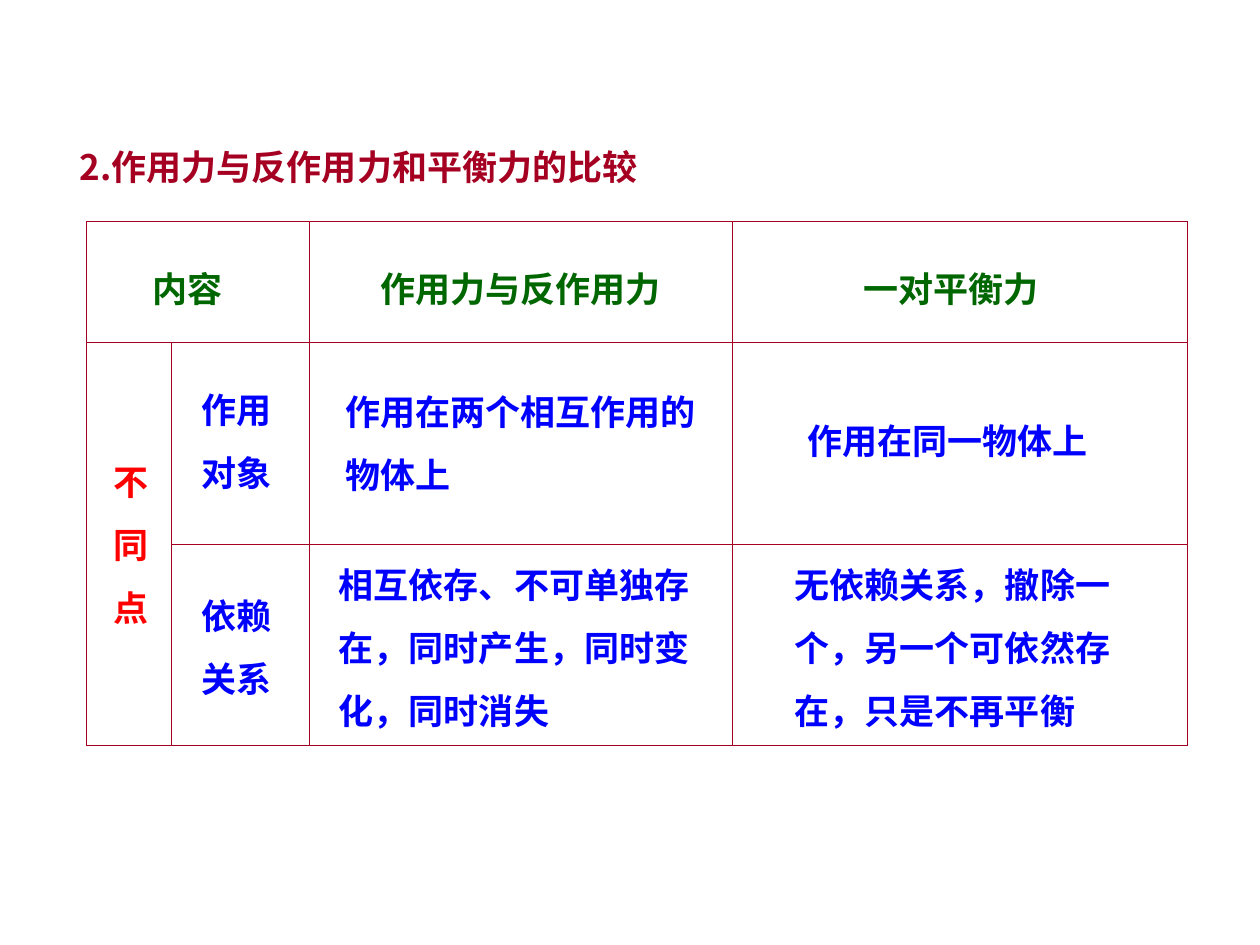
import dataclasses

import lxml.etree
import pptx
import pptx.dml.color
import pptx.enum.text
import pptx.oxml.ns
import pptx.util
from pptx.util import Cm


@dataclasses.dataclass(frozen=True)
class Theme:
    font: str = "Noto Sans CJK SC"
    size: int = 20
    line_spacing: float = 1.5
    title: str = "A50021"
    header: str = "006600"
    group: str = "FF0000"
    body: str = "0000FF"
    border: str = "A50021"
    outer_width: float = 0.75
    inner_width: float = 0.45


class SlideBuilder:
    """Holds the theme and the current slide."""

    def __init__(self, slide, theme):
        self.slide = slide
        self.theme = theme

    def fill_text(self, shape, lines, color):
        """Fill a text shape with one paragraph per line."""
        frame = shape.text_frame
        frame.word_wrap = True
        frame.auto_size = pptx.enum.text.MSO_AUTO_SIZE.SHAPE_TO_FIT_TEXT
        frame.vertical_anchor = pptx.enum.text.MSO_ANCHOR.MIDDLE
        frame.text = "\n".join(lines)
        for paragraph in frame.paragraphs:
            paragraph.alignment = pptx.enum.text.PP_ALIGN.LEFT
            paragraph.line_spacing = self.theme.line_spacing
            paragraph.space_before = pptx.util.Pt(0)
            font = paragraph.font
            font.size = pptx.util.Pt(self.theme.size)
            font.bold = True
            font.color.rgb = pptx.dml.color.RGBColor.from_string(color)
            font.name = self.theme.font
            # East Asian typeface follows the Latin one
            latin = paragraph._p.find(".//" + pptx.oxml.ns.qn("a:latin"))
            east_asian = lxml.etree.Element(pptx.oxml.ns.qn("a:ea"))
            east_asian.set("typeface", self.theme.font)
            latin.addnext(east_asian)

    def title(self, left, top, width, text):
        shape = self.slide.shapes.title
        shape.left, shape.top = Cm(left), Cm(top)
        shape.width, shape.height = Cm(width), self.text_height(1)
        self.fill_text(shape, [text], self.theme.title)

    def text(self, left, top, width, lines, color):
        shape = self.slide.shapes.add_textbox(
            Cm(left), Cm(top), Cm(width), self.text_height(len(lines)))
        self.fill_text(shape, lines, color)

    def text_height(self, line_count):
        return Cm(0.25 + 1.27 * line_count)

    def table(self, left, top, widths, heights, merges):
        """Draw an unfilled grid with a heavier outer frame."""
        row_count, column_count = len(heights), len(widths)
        table = self.slide.shapes.add_table(
            row_count, column_count, Cm(left), Cm(top),
            Cm(sum(widths)), Cm(sum(heights))).table
        table.first_row = table.horz_banding = False
        for column, width in zip(table.columns, widths):
            column.width = Cm(width)
        for row, height in zip(table.rows, heights):
            row.height = Cm(height)
        for first, last in merges:
            table.cell(*first).merge(table.cell(*last))
        for row in range(row_count):
            for column in range(column_count):
                cell = table.cell(row, column)
                cell.fill.background()
                self.borders(cell, {
                    "lnL": column == 0,
                    "lnR": column + cell.span_width == column_count,
                    "lnT": row == 0,
                    "lnB": row + cell.span_height == row_count,
                })

    def borders(self, cell, outer_by_side):
        properties = cell._tc.get_or_add_tcPr()
        for index, (side, outer) in enumerate(outer_by_side.items()):
            width = self.theme.outer_width if outer else self.theme.inner_width
            line = lxml.etree.Element(pptx.oxml.ns.qn("a:" + side))
            line.set("w", str(int(pptx.util.Pt(width))))
            fill = lxml.etree.SubElement(line, pptx.oxml.ns.qn("a:solidFill"))
            color = lxml.etree.SubElement(fill, pptx.oxml.ns.qn("a:srgbClr"))
            color.set("val", self.theme.border)
            properties.insert(index, line)


def main():
    presentation = pptx.Presentation()
    presentation.slide_width = Cm(25.4)
    presentation.slide_height = Cm(19.05)
    theme = Theme()
    title_only = presentation.slide_layouts[5]
    builder = SlideBuilder(presentation.slides.add_slide(title_only), theme)

    # Comparison grid and title
    builder.table(1.75, 4.47, [1.7, 2.79, 8.53, 9.17], [2.44, 4.06, 4.06],
                  merges=[((0, 0), (0, 1)), ((1, 0), (2, 0))])
    builder.title(1.35, 2.39, 13.28, "2.作用力与反作用力和平衡力的比较")

    # Column headers
    header_top = 4.85
    for left, width, label in [(2.82, 2.82, "内容"),
                               (7.42, 7.26, "作用力与反作用力"),
                               (17.15, 5.64, "一对平衡力")]:
        builder.text(left, header_top, width, [label], theme.header)

    # Row group label
    builder.text(2.03, 8.74, 1.6, ["不", "同", "点"], theme.group)

    # Row labels and comparisons
    for left, top, width, lines in [
        (3.81, 7.29, 2.69, ["作用", "对象"]),
        (3.81, 11.43, 2.69, ["依赖", "关系"]),
        (6.71, 7.32, 9.45, ["作用在两个相互作用的", "物体上"]),
        (16.03, 7.9, 7.37, ["作用在同一物体上"]),
        (6.58, 10.82, 9.47,
         ["相互依存、不可单独存", "在，同时产生，同时变", "化，同时消失"]),
        (15.77, 10.82, 8.38,
         ["无依赖关系，撤除一", "个，另一个可依然存", "在，只是不再平衡"]),
    ]:
        builder.text(left, top, width, lines, theme.body)

    presentation.save("out.pptx")


if __name__ == "__main__":
    main()
